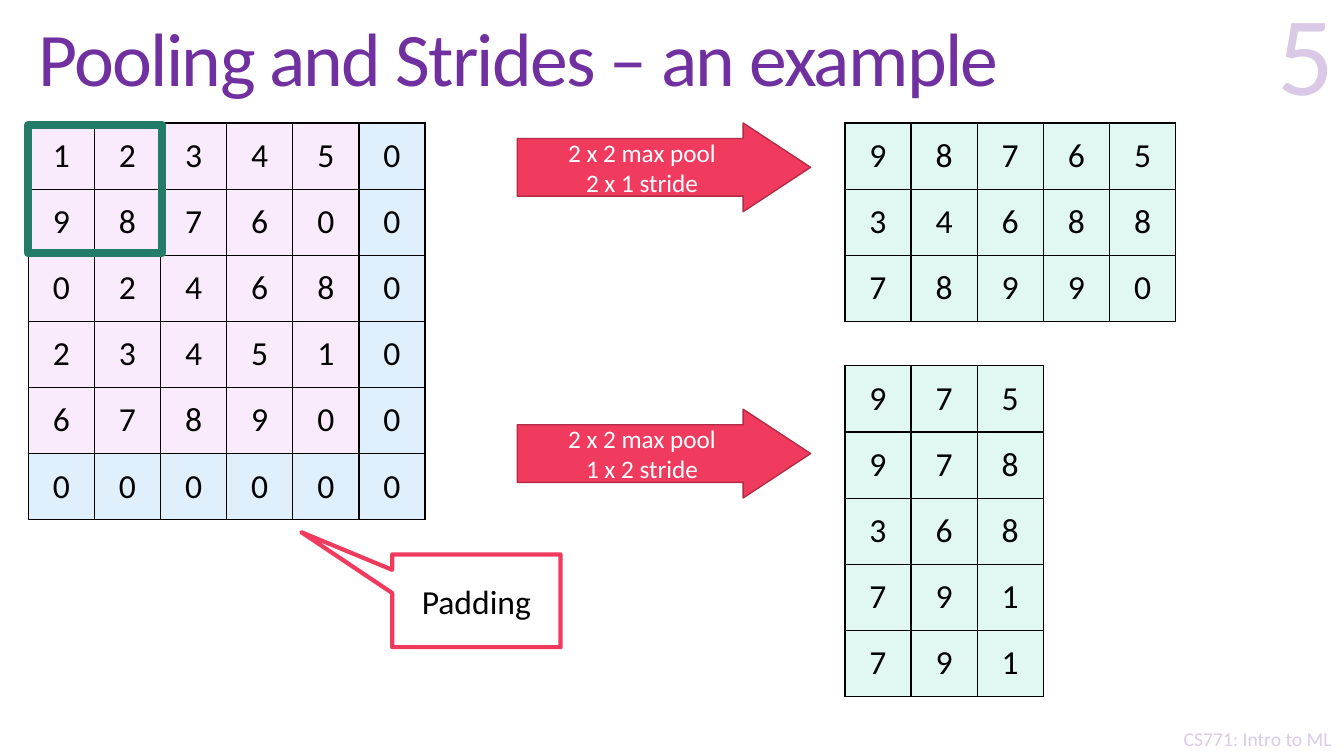
from pptx import Presentation
from pptx import util as u
from pptx.dml.color import RGBColor
from pptx.enum import shapes, text
from pptx.oxml import parse_xml
from pptx.oxml.ns import nsdecls, qn

PURPLE = RGBColor(0x70, 0x30, 0xA0)
RED = RGBColor(0xF0, 0x3B, 0x5E)
DARK_RED = RGBColor(0xB2, 0x2C, 0x46)
GREEN = RGBColor(0x23, 0x7C, 0x67)
PINK = RGBColor(0xF9, 0xEB, 0xFB)
BLUE = RGBColor(0xDF, 0xEF, 0xFC)
MINT = RGBColor(0xE1, 0xF7, 0xF1)
BLACK = RGBColor(0, 0, 0)
WHITE = RGBColor(0xFF, 0xFF, 0xFF)

# Content
TITLE = "Pooling and Strides – an example"
PAGE_NUMBER = "5"
COURSE = "CS771: Intro to ML"
CALLOUT = "Padding"
INPUT = ["12345", "98760", "02468", "23451", "67890"]
POOLS = [  # arrow top, arrow text, result top, result rows
    (1.22, "2 x 2 max pool\n2 x 1 stride", 1.22, ["98765", "34688", "78990"]),
    (4.06, "2 x 2 max pool\n1 x 2 stride", 3.63, ["975", "978", "368", "791", "791"]),
]

# Layout
INPUT_LEFT, INPUT_TOP = 0.28, 1.22
CELL = 3.28 / 5
ARROW_LEFT, RESULT_LEFT = 5.13, 8.38

deck = Presentation()
deck.slide_width, deck.slide_height = u.Inches(13.33), u.Inches(7.5)
page = deck.slides.add_slide(deck.slide_layouts[5])


def set_alpha(fill_parent, percent):
    color = fill_parent.find(".//" + qn("a:srgbClr"))
    color.append(parse_xml(f'<a:alpha {nsdecls("a")} val="{percent * 1000}"/>'))


def write(frame, words, size=24, color=BLACK, align=text.PP_ALIGN.CENTER,
          anchor=text.MSO_ANCHOR.MIDDLE, wrap=True, alpha=None):
    frame.word_wrap = wrap
    frame.vertical_anchor = anchor
    for index, line in enumerate(words.split("\n")):
        para = frame.paragraphs[0] if index == 0 else frame.add_paragraph()
        para.alignment = align
        span = para.add_run()
        span.text = line
        span.font.name, span.font.size = "Calibri", u.Pt(size)
        span.font.color.rgb = color
        if alpha:
            set_alpha(span.font._element, alpha)


def add_box(kind, left, top, width, height, fill=None, line=None, weight=1, adjust=()):
    box = page.shapes.add_shape(kind, *map(u.Inches, (left, top, width, height)))
    box.shadow.inherit = False
    if fill is None:
        box.fill.background()
    else:
        box.fill.solid()
        box.fill.fore_color.rgb = fill
    if line is None:
        box.line.fill.background()
    else:
        box.line.color.rgb, box.line.width = line, u.Pt(weight)
    for index, value in enumerate(adjust):
        box.adjustments[index] = value
    return box


def add_label(left, top, width, height, words, **style):
    box = page.shapes.add_textbox(*map(u.Inches, (left, top, width, height)))
    write(box.text_frame, words, **style)


def add_grid(left, top, rows, fill):
    count = len(rows[0])
    grid = page.shapes.add_table(len(rows), count, u.Inches(left), u.Inches(top),
                                 u.Inches(CELL * count), u.Inches(CELL * len(rows))).table
    grid.first_row = grid.horz_banding = False
    for strip in (*grid.columns, *grid.rows):
        if hasattr(strip, "width"):
            strip.width = u.Inches(CELL)
        else:
            strip.height = u.Inches(CELL)
    for row, digits in enumerate(rows):
        for column, digit in enumerate(digits):
            cell = grid.cell(row, column)
            write(cell.text_frame, digit)
            cell.vertical_anchor = text.MSO_ANCHOR.MIDDLE
            # Borders come before the fill in the cell properties
            properties = cell._tc.get_or_add_tcPr()
            for side in ("lnL", "lnR", "lnT", "lnB"):
                properties.append(parse_xml(
                    f'<a:{side} {nsdecls("a")} w="12700"><a:solidFill>'
                    f'<a:srgbClr val="{BLACK}"/></a:solidFill></a:{side}>'))
            cell.fill.solid()
            cell.fill.fore_color.rgb = fill


# Course name, faded by a translucent cover
add_label(11.52, 7.16, 1.91, 0.34, COURSE, size=14, color=PURPLE, wrap=False,
          anchor=text.MSO_ANCHOR.TOP)
cover = add_box(shapes.MSO_SHAPE.RECTANGLE, 11.64, 5.68, 1.69, 1.82, fill=WHITE)
set_alpha(cover._element.spPr, 75)

# Title and page number
title = page.shapes.title
title.left, title.top = u.Inches(0.28), u.Inches(0.04)
title.width, title.height = u.Inches(12.69), u.Inches(1.18)
write(title.text_frame, TITLE, size=54, color=PURPLE, align=text.PP_ALIGN.LEFT)
title.text_frame.auto_size = text.MSO_AUTO_SIZE.NONE
heading = title.text_frame.paragraphs[0]
heading.line_spacing = 0.85
heading.runs[0].font._element.set("spc", "-120")
add_label(10.13, 0.05, 3.2, 1.17, PAGE_NUMBER, size=80, color=PURPLE, alpha=25,
          align=text.PP_ALIGN.RIGHT, anchor=text.MSO_ANCHOR.BOTTOM)

# Input grid with its padding row and column
size = len(INPUT)
add_grid(INPUT_LEFT, INPUT_TOP + size * CELL, ["0" * size], BLUE)
add_grid(INPUT_LEFT + size * CELL, INPUT_TOP, ["0"] * (size + 1), BLUE)
add_grid(INPUT_LEFT, INPUT_TOP, INPUT, PINK)

# Pooling window and padding callout
add_box(shapes.MSO_SHAPE.RECTANGLE, INPUT_LEFT, 1.24, 1.33, 1.27, line=GREEN, weight=6)
callout = add_box(shapes.MSO_SHAPE.RECTANGULAR_CALLOUT, 3.89, 5.5, 1.67, 0.92, fill=WHITE,
                  line=RED, weight=3, adjust=(-1.04, -0.74))
write(callout.text_frame, CALLOUT)

# Arrows and pooled results
for arrow_top, words, result_top, rows in POOLS:
    arrow = add_box(shapes.MSO_SHAPE.RIGHT_ARROW, ARROW_LEFT, arrow_top, 2.91, 0.88,
                    fill=RED, line=DARK_RED, adjust=(0.65, 0.76))
    write(arrow.text_frame, words, size=18, color=WHITE)
    add_grid(RESULT_LEFT, result_top, rows, MINT)

deck.save("out.pptx")
